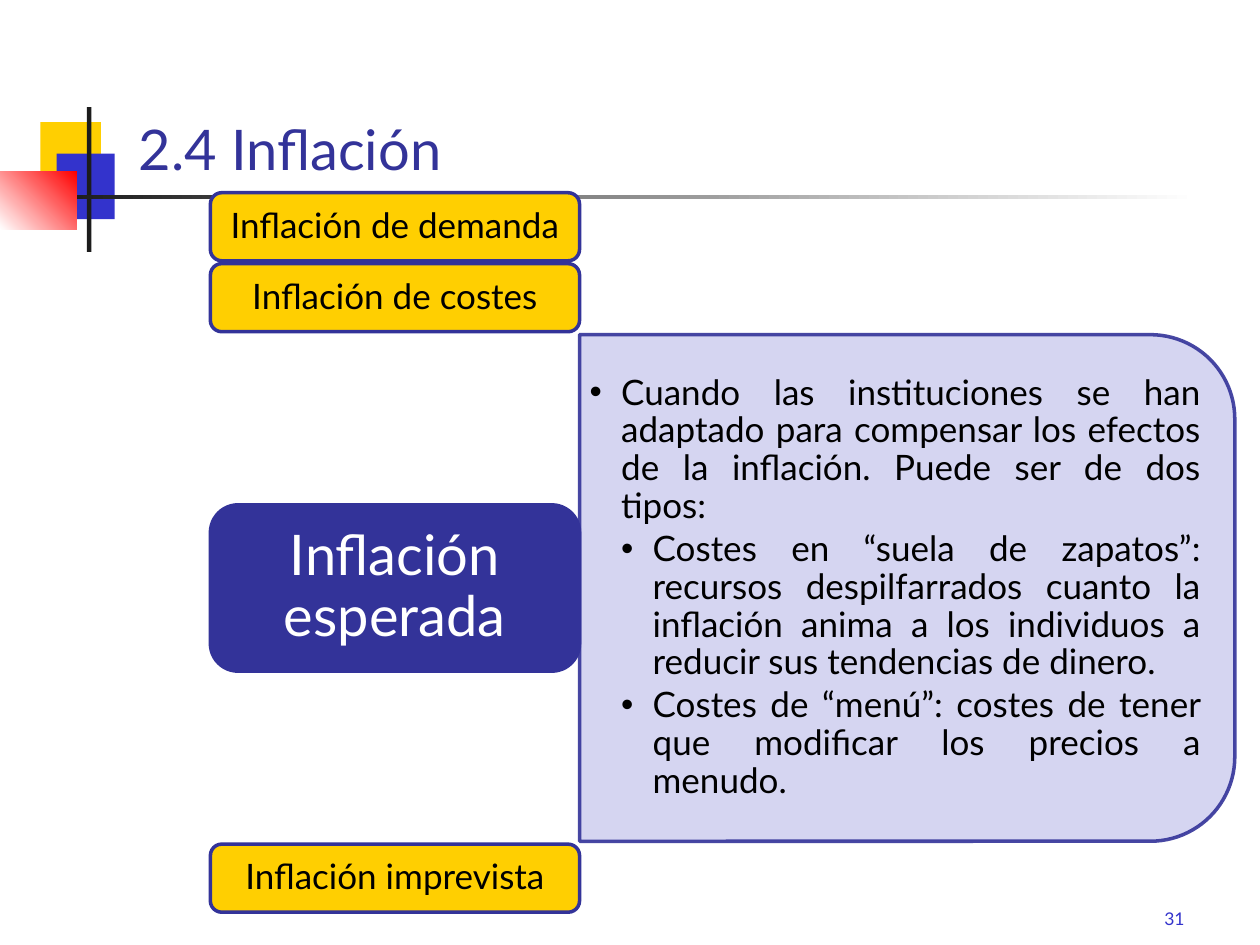
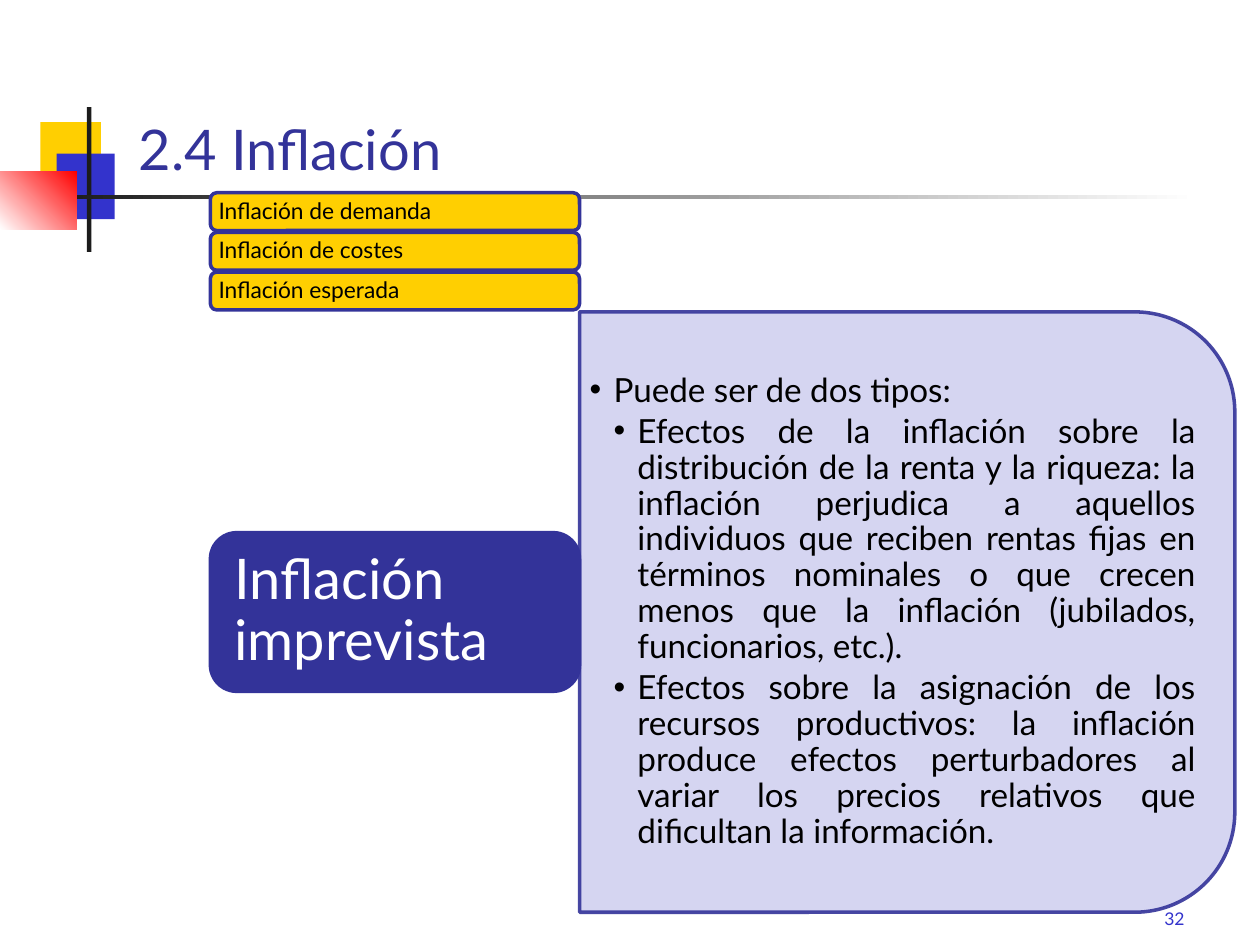
from dataclasses import dataclass

from lxml.etree import SubElement
from pptx import Presentation
from pptx.dml.color import RGBColor
from pptx.enum.shapes import MSO_SHAPE as Geo
from pptx.enum.text import MSO_ANCHOR as Anchor, MSO_AUTO_SIZE as Fit, PP_ALIGN as Al
from pptx.oxml.ns import qn
from pptx.util import Inches, Pt

COLORS = {
    "navy": "333399", "blue": "3333CC", "gold": "FFCF01", "pale": "D1D1F0",
    "ink": "1C1C1C", "red": "FF0000", "white": "FFFFFF", "black": "000000",
}
FONT = "Lato"
WIDTH, HEIGHT = Inches(10), Inches(7.5)
COL, ROW = WIDTH / 100, HEIGHT / 75  # square grid cells

# The accordion: bars on the left, panel on the right
BAR_X, BAR_W = 16.7, 29.3
PANEL_X, PANEL_W = BAR_X + BAR_W, 52
STACK_TOP, STACK_BOTTOM = 15.3, 72.4


@dataclass(frozen=True)
class Box:
    x: float
    y: float
    w: float
    h: float

    def emu(self) -> tuple[int, int, int, int]:
        return (round(self.x * COL), round(self.y * ROW),
                round(self.w * COL), round(self.h * ROW))


@dataclass(frozen=True)
class Block:
    box: Box
    colors: tuple[str, ...]  # two colours make a gradient
    angle: float = 0


@dataclass(frozen=True)
class Style:
    size: float
    color: str
    align: Al
    inset: tuple[float, float] = (1, 0.5)  # sides, top and bottom
    anchor: Anchor = Anchor.MIDDLE
    spacing: float = 0.9


@dataclass(frozen=True)
class Item:
    level: int
    text: str


@dataclass(frozen=True)
class Accordion:
    number: int
    open_bar: int
    bar_h: float
    gap: float
    tab_h: float
    bar_style: Style
    panel_style: Style
    text_w: float
    text_h: float
    indent: float
    items: tuple[Item, ...]


TITLE = "2.4 Inflación"
BARS = ("Inflación de demanda", "Inflación de costes",
        "Inflación esperada", "Inflación imprevista")

DECOR = (
    Block(Box(3.2, 9.7, 4.8, 5.2), ("gold",)),
    Block(Box(4.5, 12.2, 4.6, 5.2), ("blue",)),
    Block(Box(6.9, 8.5, 0.35, 11.5), ("ink",)),
    Block(Box(5, 15.5, 90, 0.3), ("ink", "white")),
    Block(Box(0, 13.6, 6.1, 4.6), ("white", "red"), 45),
)

TITLE_STYLE = Style(32, "navy", Al.LEFT, anchor=Anchor.BOTTOM)
NUMBER_STYLE = Style(10, "blue", Al.RIGHT, anchor=Anchor.BOTTOM, spacing=1)

SLIDES = (
    Accordion(
        31, 2, 5.4, 0.23, 13.2,
        Style(20, "black", Al.CENTER, (0.8, 0.4)),
        Style(20, "black", Al.JUSTIFY, (0.8, 0.4)), 50.1, 36.3, 2.5,
        (
            Item(0, "Cuando las instituciones se han adaptado para compensar los "
                    "efectos de la inflación. Puede ser de dos tipos:"),
            Item(1, "Costes en “suela de zapatos”: recursos despilfarrados cuanto la "
                    "inflación anima a los individuos a reducir sus tendencias de dinero."),
            Item(1, "Costes de “menú”: costes de tener que modificar los precios a menudo."),
        )),
    Accordion(
        32, 3, 3, 0.15, 12.6,
        Style(13, "black", Al.JUSTIFY, (0.5, 0.3)),
        Style(19, "black", Al.JUSTIFY, (0.8, 0.4)), 49.7, 43.1, 1.9,
        (
            Item(0, "Puede ser de dos tipos:"),
            Item(1, "Efectos de la inflación sobre la distribución de la renta y la "
                    "riqueza: la inflación perjudica a aquellos individuos que reciben "
                    "rentas fijas en términos nominales o que crecen menos que la "
                    "inflación (jubilados, funcionarios, etc.)."),
            Item(1, "Efectos sobre la asignación de los recursos productivos: la "
                    "inflación produce efectos perturbadores al variar los precios "
                    "relativos que dificultan la información."),
        )),
)


def rgb(name: str) -> RGBColor:
    return RGBColor.from_string(COLORS[name])


def set_all(obj, values: dict) -> None:
    for name, value in values.items():
        setattr(obj, name, value)


def write(sp, texts: tuple[str, ...], st: Style) -> list:
    """Put one paragraph per text into a shape and return the paragraphs."""
    tf = sp.text_frame
    side, edge = round(st.inset[0] * COL), round(st.inset[1] * ROW)
    set_all(tf, {"word_wrap": True, "auto_size": Fit.NONE,
                 "vertical_anchor": st.anchor,
                 "margin_left": side, "margin_right": side,
                 "margin_top": edge, "margin_bottom": edge})
    for i, text in enumerate(texts):
        p = tf.add_paragraph() if i else tf.paragraphs[0]
        set_all(p, {"alignment": st.align, "line_spacing": st.spacing})
        r = p.add_run()
        r.text = text
        set_all(r.font, {"size": Pt(st.size), "name": FONT})
        r.font.color.rgb = rgb(st.color)
    return list(tf.paragraphs)


def add_block(s, geo: Geo, block: Block, line: str | None = None):
    sp = s.shapes.add_shape(geo, *block.box.emu())
    sp.shadow.inherit = False
    if len(block.colors) == 2:
        sp.fill.gradient()
        sp.fill.gradient_angle = block.angle
        for i, (stop, name) in enumerate(zip(sp.fill.gradient_stops, block.colors)):
            stop.position = i
            stop.color.rgb = rgb(name)
    else:
        sp.fill.solid()
        sp.fill.fore_color.rgb = rgb(block.colors[0])
    if line:
        sp.line.color.rgb = rgb(line)
        sp.line.width = Pt(2)
    else:
        sp.line.fill.background()
    return sp


def add_text(s, box: Box, texts: tuple[str, ...], st: Style) -> list:
    return write(s.shapes.add_textbox(*box.emu()), texts, st)


def add_frame(s, number: int) -> None:
    """Corner blocks, rules, page number and title."""
    for block in DECOR:
        add_block(s, Geo.RECTANGLE, block)
    add_text(s, Box(74.2, 69.2, 20.8, 5), (str(number),), NUMBER_STYLE)
    title = s.shapes.title
    set_all(title, dict(zip(("left", "top", "width", "height"),
                            Box(10, 3.3, 85, 11.7).emu())))
    write(title, (TITLE,), TITLE_STYLE)


def add_panel(s, acc: Accordion, top: float, height: float) -> None:
    # The preset rounds its top corners, so a quarter turn rounds the right side
    mid_x, mid_y = PANEL_X + PANEL_W / 2, top + height / 2
    box = Box(mid_x - height / 2, mid_y - PANEL_W / 2, height, PANEL_W)
    sp = add_block(s, Geo.ROUND_2_SAME_RECTANGLE, Block(box, ("pale",)), "navy")
    sp.rotation = 90
    for clr in sp._element.spPr.iter(qn("a:srgbClr")):
        SubElement(clr, qn("a:alpha"), val="90000")

    # Bulleted text
    box = Box(PANEL_X, mid_y - acc.text_h / 2, acc.text_w, acc.text_h)
    ps = add_text(s, box, tuple(item.text for item in acc.items), acc.panel_style)
    step = round(acc.indent * COL)
    for p, item in zip(ps, acc.items):
        p.level = item.level
        p.space_after = Pt(0.15 * acc.panel_style.size)
        pPr = p._p.get_or_add_pPr()
        set_indent = {"marL": step * (item.level + 1), "indent": -step}
        for name, value in set_indent.items():
            pPr.set(name, str(value))
        SubElement(pPr, qn("a:buFont"), typeface="Arial")
        SubElement(pPr, qn("a:buChar"), char="•")


def add_accordion(s, acc: Accordion) -> None:
    closed = len(BARS) - 1
    panel_h = STACK_BOTTOM - STACK_TOP - closed * (acc.bar_h + acc.gap)
    tab_style = Style(32, "white", acc.bar_style.align, (1.3, 0.7))
    y = STACK_TOP
    for i, label in enumerate(BARS):
        is_open = i == acc.open_bar
        row_h = panel_h if is_open else acc.bar_h
        bar_h = acc.tab_h if is_open else acc.bar_h
        if is_open:
            add_panel(s, acc, y, row_h)
        box = Box(BAR_X, y + (row_h - bar_h) / 2, BAR_W, bar_h)
        block = Block(box, ("navy" if is_open else "gold",))
        sp = add_block(s, Geo.ROUNDED_RECTANGLE, block, "navy")
        write(sp, (label,), tab_style if is_open else acc.bar_style)
        y += row_h + acc.gap


def main() -> None:
    prs = Presentation()
    set_all(prs, {"slide_width": WIDTH, "slide_height": HEIGHT})
    for acc in SLIDES:
        s = prs.slides.add_slide(prs.slide_layouts[5])  # title only
        add_frame(s, acc.number)
        add_accordion(s, acc)
    prs.save("out.pptx")


if __name__ == "__main__":
    main()
